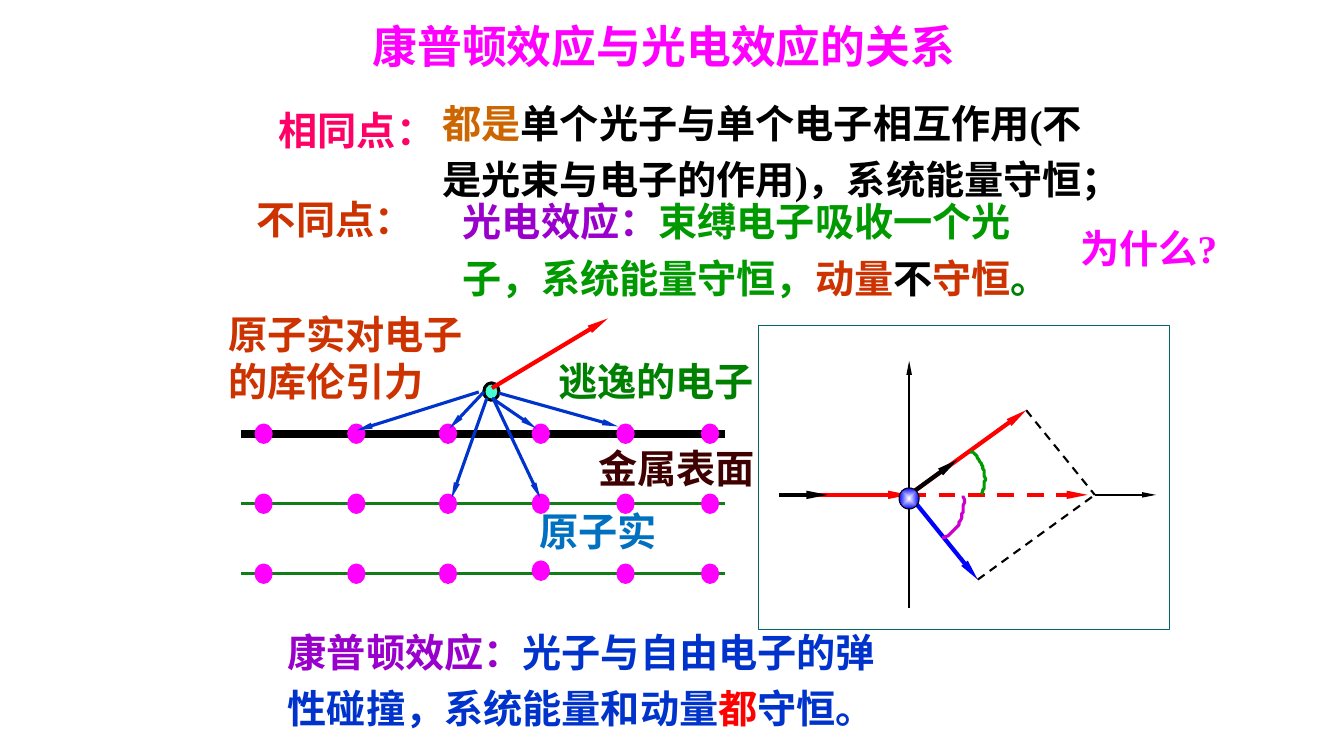
from dataclasses import dataclass

from lxml import etree
from pptx import Presentation
from pptx import util as u
from pptx.dml.color import RGBColor
from pptx.enum import dml, shapes, text
from pptx.oxml import ns

FONT = "Times New Roman"
MAGENTA, RED, BLUE, BLACK = "FF00FF", "FF0000", "0033CC", "000000"
GREEN, RUST, PURPLE, WHITE = "009900", "CC3300", "9900CC", "FFFFFF"

Point = tuple[float, float]
Box = tuple[float, float, float, float]


@dataclass
class Label:
    box: Box
    runs: list[tuple[str, str]]
    spacing: float = 1.0
    size: float = 28
    wrap: bool = True


@dataclass
class Line:
    start: Point
    end: Point
    color: str
    width: float
    arrow: bool = False
    dashed: bool = False


@dataclass
class Arc:
    controls: tuple[Point, Point, Point, Point]
    color: str


# Statements
STATEMENTS = [
    Label((192, 65.5, 126, 48), [("相同点：", "FF0066")], 1.2),
    Label((259, 10, 478, 46), [("康普顿效应与光电效应的关系", MAGENTA)], size=32),
    Label((323.5, 131, 424, 85), [
        ("光电效应：", PURPLE), ("束缚电子吸收一个光子，系统能量守恒，", GREEN),
        ("动量", RUST), ("不", BLACK), ("守恒", RUST), ("。", "008000")], 1.2),
    Label((309, 60.5, 485, 85), [
        ("都是", "CC6600"),
        ("单个光子与单个电子相互作用(不是光束与电子的作用)，系统能量守恒；", BLACK)], 1.2),
    Label((176.5, 129, 117, 48), [("不同点：", RUST)], 1.2),
    Label((764.5, 157, 114, 41), [("为什么?", MAGENTA)]),
    Label((198.5, 438.5, 456, 85), [
        ("康普顿效应：", PURPLE), ("光子与自由电子的弹性碰撞，系统能量和动量", BLUE),
        ("都", RED), ("守恒。", BLUE)], 1.2),
]

# Metal lattice and escaping electron
ROW_LEFT, ROW_RIGHT, ROW_TOP, ROW_STEP = 172, 517.7, 309.8, 50
ROW_STYLES = [(BLACK, 6), ("117D16", 2.25), ("117D16", 2.25)]
ION_CENTERS = [188.3, 254.5, 320, 386.3, 446.8, 507.2]
RAISED_ION, RAISED_BY = (2, 3), 2.2
DOT_WIDTH, DOT_HEIGHT = 10.8, 12.4
ELECTRON = (351, 279.7)
ESCAPE = Line((351.4, 277.2), (434.2, 227.5), RED, 3, True)
ATTRACTIONS = [
    ((342, 280), (254.9, 307.4)), ((345.6, 280), (321.1, 306)),
    ((351.4, 284.4), (383, 306)), ((347.8, 284.4), (322.6, 355.7)),
    ((352.8, 285.8), (385.9, 355.7)), ((356.4, 280.8), (441.4, 304.6)),
]
LATTICE_LABELS = [
    Label((420.5, 314, 128, 41), [("金属表面", "3E0000")], wrap=False),
    Label((391.7, 252, 156, 41), [("逃逸的电子", "008000")], wrap=False),
    Label((378, 358.5, 100, 41), [("原子实", "0070C0")], wrap=False),
    Label((156, 218, 188, 75), [("原子实对电子的库伦引力", RUST)]),
]

# Collision diagram
PANEL = (541.5, 232.6, 293.8, 217.4)
ORIGIN, SUM_TIP = (649.4, 353.5), (782, 353.5)
PHOTON_TIP, ELECTRON_TIP = (733, 293), (698.4, 414)
VECTORS = [
    Line(SUM_TIP, (825.8, 353.5), BLACK, 1, True),
    Line((649.4, 434.2), (649.4, 257.8), BLACK, 1, True),
    Line(ELECTRON_TIP, SUM_TIP, BLACK, 1.5, dashed=True),
    Line(PHOTON_TIP, SUM_TIP, BLACK, 1.5, dashed=True),
    Line(ORIGIN, (776.9, 353.5), RED, 3, True, True),
    Line((561.6, 353.5), ORIGIN, RED, 3, True),
    Line(ORIGIN, PHOTON_TIP, RED, 3, True),
    Line(ORIGIN, ELECTRON_TIP, "0000FF", 3, True),
    Line(ORIGIN, (684, 328.3), BLACK, 3, True),
    Line((556.6, 353.5), (591.1, 353.5), BLACK, 3, True),
]
BALL = (642.2, 348.5, 14.4, 15.1)
ARCS = [
    Arc(((673.2, 384.5), (684, 380.9), (689.8, 368.6), (688.3, 353.5)), "CC00CC"),
    Arc(((701.3, 352.8), (706.3, 342), (702.7, 329), (693.4, 322.6)), GREEN),
]


def rgb(value: str) -> RGBColor:
    return RGBColor.from_string(value)


def add_label(slide, label: Label) -> None:
    frame = slide.shapes.add_textbox(*map(u.Pt, label.box)).text_frame
    frame.word_wrap = label.wrap
    frame.auto_size = text.MSO_AUTO_SIZE.SHAPE_TO_FIT_TEXT
    paragraph = frame.paragraphs[0]
    paragraph.line_spacing = label.spacing
    paragraph.font.name = FONT
    paragraph.font.size = u.Pt(label.size)
    paragraph.font.bold = True
    for words, color in label.runs:
        run = paragraph.add_run()
        run.text = words
        run.font.color.rgb = rgb(color)


def add_line(slide, line: Line) -> None:
    connector = slide.shapes.add_connector(
        shapes.MSO_CONNECTOR.STRAIGHT, *map(u.Pt, line.start + line.end))
    connector.line.color.rgb = rgb(line.color)
    connector.line.width = u.Pt(line.width)
    if line.dashed:
        connector.line.dash_style = dml.MSO_LINE.DASH
    properties = connector._element.spPr
    if line.arrow:
        etree.SubElement(properties.find(ns.qn("a:ln")), ns.qn("a:tailEnd"),
                         type="triangle", w="sm", len="lg")
    etree.SubElement(properties, ns.qn("a:effectLst"))


def add_solid(slide, kind, box: Box, fill: str, outline: str, width: float):
    shape = slide.shapes.add_shape(kind, *map(u.Pt, box))
    shape.shadow.inherit = False
    shape.fill.solid()
    shape.fill.fore_color.rgb = rgb(fill)
    shape.line.color.rgb = rgb(outline)
    shape.line.width = u.Pt(width)
    return shape


def add_dot(slide, center: Point, fill: str, outline: str) -> None:
    box = (center[0] - DOT_WIDTH / 2, center[1] - DOT_HEIGHT / 2, DOT_WIDTH, DOT_HEIGHT)
    add_solid(slide, shapes.MSO_SHAPE.OVAL, box, fill, outline, 2.25)


def add_ball(slide) -> None:
    ball = add_solid(slide, shapes.MSO_SHAPE.OVAL, BALL, WHITE, BLACK, 0.75)
    ball.fill.gradient()
    for stop, color in zip(ball.fill.gradient_stops, (WHITE, "0000FF")):
        stop.color.rgb = rgb(color)
    # Radial shading from the middle outwards
    gradient = ball._element.spPr.find(ns.qn("a:gradFill"))
    linear = gradient.find(ns.qn("a:lin"))
    radial = etree.Element(ns.qn("a:path"), path="shape")
    etree.SubElement(radial, ns.qn("a:fillToRect"), l="50000", t="50000", r="50000", b="50000")
    gradient.replace(linear, radial)


def add_arc(slide, arc: Arc, steps: int = 24) -> None:
    def at(t: float) -> Point:
        weights = ((1 - t) ** 3, 3 * t * (1 - t) ** 2, 3 * t * t * (1 - t), t ** 3)
        x, y = (sum(w * p[axis] for w, p in zip(weights, arc.controls)) for axis in (0, 1))
        return x, y

    builder = slide.shapes.build_freeform(*arc.controls[0], scale=float(u.Pt(1)))
    builder.add_line_segments([at(i / steps) for i in range(1, steps + 1)], close=False)
    shape = builder.convert_to_shape()
    shape.shadow.inherit = False
    shape.fill.background()
    shape.line.color.rgb = rgb(arc.color)
    shape.line.width = u.Pt(2.25)


def add_lattice(slide) -> None:
    for row, (color, width) in enumerate(ROW_STYLES):
        y = ROW_TOP + row * ROW_STEP
        add_line(slide, Line((ROW_LEFT, y), (ROW_RIGHT, y), color, width))
        for column, x in enumerate(ION_CENTERS):
            rise = RAISED_BY if (row, column) == RAISED_ION else 0
            add_dot(slide, (x, y - rise), MAGENTA, MAGENTA)
    add_dot(slide, ELECTRON, "47FFD1", BLACK)
    add_line(slide, ESCAPE)
    for start, end in ATTRACTIONS:
        add_line(slide, Line(start, end, BLUE, 2.25, True))
    for label in LATTICE_LABELS:
        add_label(slide, label)


def add_collision(slide) -> None:
    add_solid(slide, shapes.MSO_SHAPE.RECTANGLE, PANEL, WHITE, "006666", 0.75)
    for vector in VECTORS:
        add_line(slide, vector)
    add_ball(slide)
    for arc in ARCS:
        add_arc(slide, arc)


def main() -> None:
    presentation = Presentation()
    presentation.slide_width, presentation.slide_height = u.Pt(960), u.Pt(540)
    slide = presentation.slides.add_slide(presentation.slide_layouts[6])
    for statement in STATEMENTS:
        add_label(slide, statement)
    add_lattice(slide)
    add_collision(slide)
    presentation.save("out.pptx")


if __name__ == "__main__":
    main()
